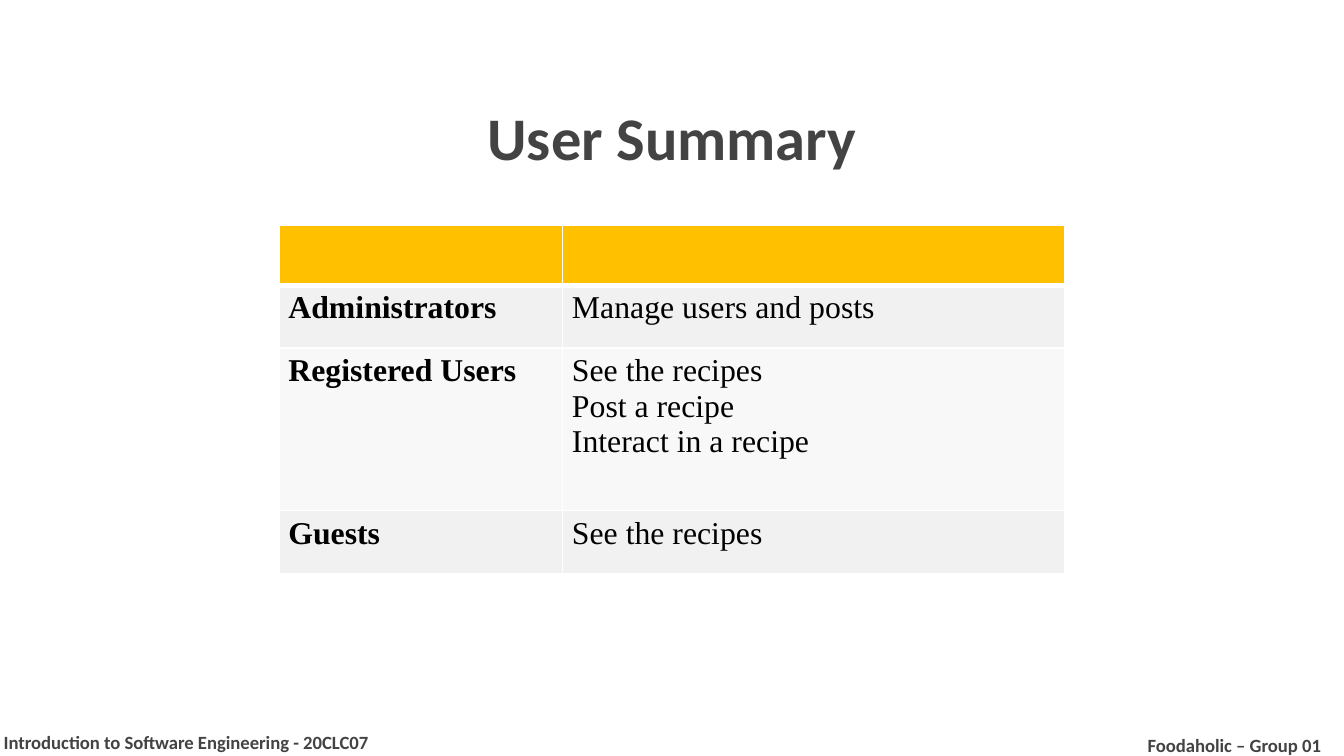
import pptx
import pptx.util
import pptx.dml.color
import pptx.enum.text
import pptx.oxml
import pptx.oxml.ns

Cm = pptx.util.Cm
Pt = pptx.util.Pt
Anchor = pptx.enum.text.MSO_ANCHOR
Align = pptx.enum.text.PP_ALIGN

COLORS = {
    "text": "434343",
    "body": "000000",
    "header": "FFC000",
    "band": "F1F1F1",
    "plain": "F8F8F8",
    "border": "FFFFFF",
}


def style_font(font, name, size, color, bold):
    font.name = name
    font.size = Pt(size)
    font.bold = bold
    font.color.rgb = pptx.dml.color.RGBColor.from_string(COLORS[color])


def set_borders(cell, widths):
    properties = cell._tc.get_or_add_tcPr()
    for index, (side, width) in enumerate(widths.items()):
        line = pptx.oxml.parse_xml(
            f'<a:ln{side} {pptx.oxml.ns.nsdecls("a")} w="{Pt(width)}">'
            f'<a:solidFill><a:srgbClr val="{COLORS["border"]}"/></a:solidFill>'
            f'</a:ln{side}>'
        )
        properties.insert(index, line)


deck = pptx.Presentation()
deck.slide_width = Cm(25.4)
deck.slide_height = Cm(14.29)
page = deck.slides.add_slide(deck.slide_layouts[5])

title = page.shapes.title
title.left, title.top = Cm(5.46), Cm(1.57)
title.width, title.height = Cm(14.48), Cm(2.03)
title.text_frame.text = "User Summary"
title.text_frame.vertical_anchor = Anchor.MIDDLE
heading = title.text_frame.paragraphs[0]
heading.alignment = Align.CENTER
style_font(heading.font, "Calibri", 32.4, "text", True)

rows = [
    (1.14, "header", "", ""),
    (1.19, "band", "Administrators", "Manage users and posts"),
    (3.07, "plain", "Registered Users", "See the recipes\nPost a recipe\nInteract in a recipe"),
    (1.19, "band", "Guests", "See the recipes"),
]
table = page.shapes.add_table(
    len(rows), 2, Cm(5.27), Cm(4.25), Cm(14.86), Cm(6.59)
).table
table.columns[0].width = Cm(5.36)
table.columns[1].width = Cm(9.5)

for row_index, (height, fill, *texts) in enumerate(rows):
    table.rows[row_index].height = Cm(height)
    for column_index, text in enumerate(texts):
        cell = table.cell(row_index, column_index)
        cell.margin_left = cell.margin_right = Cm(0.18)
        cell.margin_top = cell.margin_bottom = Cm(0.1)
        cell.fill.solid()
        cell.fill.fore_color.rgb = pptx.dml.color.RGBColor.from_string(COLORS[fill])
        set_borders(cell, {
            "L": 1,
            "R": 1,
            "T": 3 if row_index == 1 else 1,
            "B": 3 if row_index == 0 else 1,
        })
        cell.text = text
        for paragraph in cell.text_frame.paragraphs:
            style_font(paragraph.font, "Times New Roman", 17, "body", column_index == 0)

footers = [
    ("Introduction to Software Engineering - 20CLC07", -0.18, 13.56, 8.64),
    ("Foodaholic – Group 01", 21.44, 13.61, 4.19),
]
for text, left, top, width in footers:
    box = page.shapes.add_textbox(Cm(left), Cm(top), Cm(width), Cm(0.89))
    frame = box.text_frame
    frame.word_wrap = True
    frame.vertical_anchor = Anchor.BOTTOM
    frame.margin_left = frame.margin_right = Cm(0.25)
    frame.margin_top = frame.margin_bottom = Cm(0.25)
    frame.text = text
    style_font(frame.paragraphs[0].font, "Calibri", 10, "text", True)

deck.save("out.pptx")
